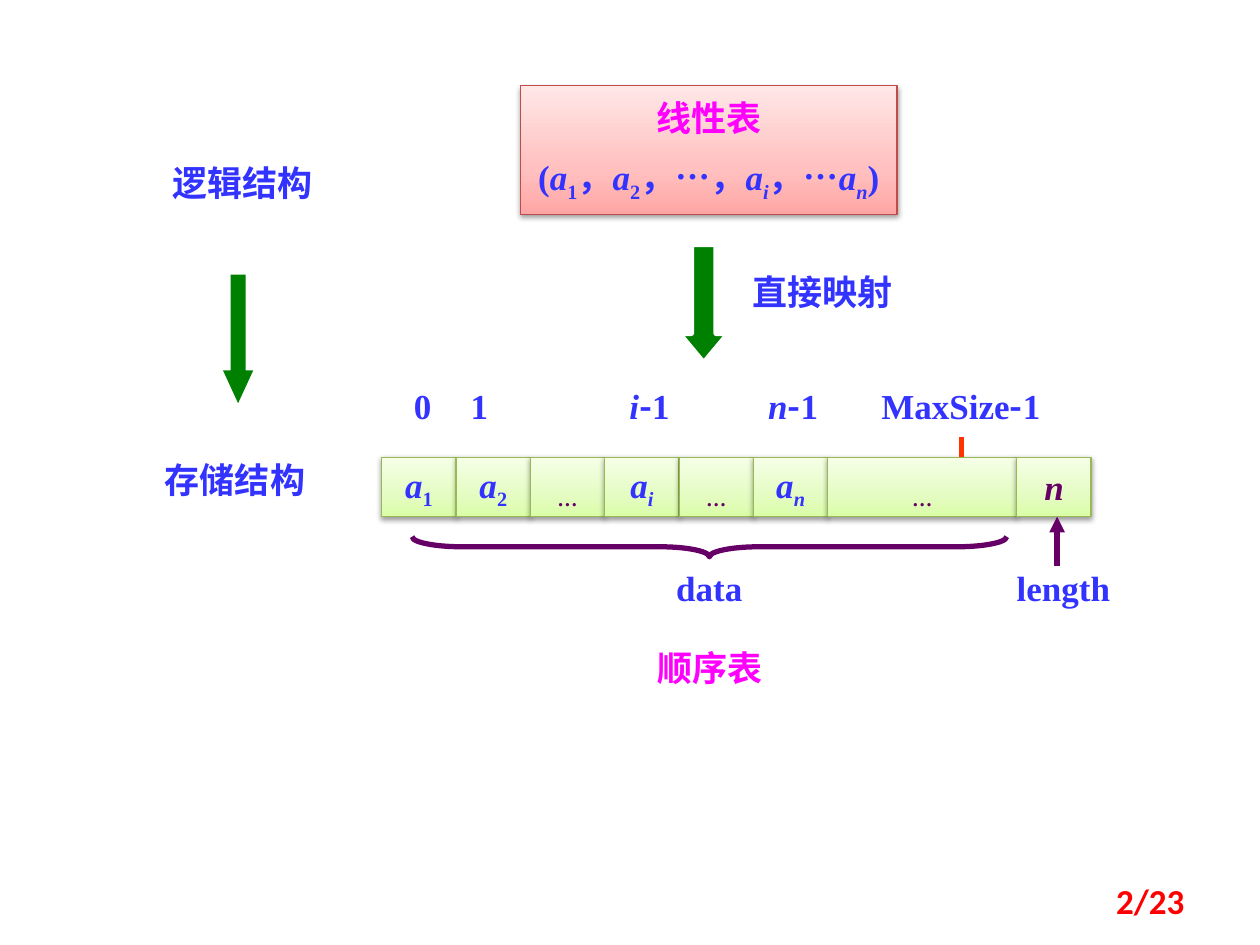
import copy
from dataclasses import dataclass

import pptx
import pptx.util
from lxml import etree
from pptx.dml.color import RGBColor
from pptx.enum.shapes import MSO_CONNECTOR, MSO_SHAPE
from pptx.enum.text import MSO_ANCHOR, MSO_AUTO_SIZE, PP_ALIGN
from pptx.oxml.ns import qn
from pptx.util import Inches, Pt


@dataclass(frozen=True)
class Theme:
    serif: str = "Times New Roman"
    sans: str = "Noto Sans CJK SC"
    footer: str = "Calibri"
    size: int = 20
    blue: str = "3333FF"
    magenta: str = "FF00FF"
    purple: str = "660066"
    green: str = "008000"
    orange: str = "FF3300"
    red: str = "FF0000"
    white: str = "FFFFFF"
    list_fill: tuple = ("FFA6A5", "FFC0BF", "FFE7E7")
    list_line: str = "BF4C48"
    cell_fill: tuple = ("DAFDA7", "E4FCC2", "F5FFE7")
    cell_line: str = "98B955"


theme = Theme()

ITALIC, SUB, SANS = "italic", "sub", "sans"


def element(index, *style):
    return [("a", ITALIC), (index, SUB, *style)]


def last_index(name):
    return [(name, ITALIC), ("-", SANS), ("1",)]


linear_list = [
    ([("线性表",)], theme.magenta),
    ([("(",), *element("1"), ("，",), *element("2"), ("，…，",),
      *element("i", ITALIC), ("，…",), *element("n", ITALIC), (")",)], theme.blue),
]

gap = [("…", SUB)]
cells = [
    (element("1"), theme.blue, 0.59),
    (element("2"), theme.blue, 0.59),
    (gap, theme.purple, 0.59),
    (element("i", ITALIC), theme.blue, 0.59),
    (gap, theme.purple, 0.59),
    (element("n", ITALIC), theme.blue, 0.59),
    (gap, theme.purple, 1.5),
    ([("n", ITALIC)], theme.purple, 0.59),
]
cells_left, cells_top, cell_height = 3.03, 3.63, 0.47

index_top, caption_top = 3, 4.45
labels = [
    ([("直接映射",)], theme.sans, theme.blue, 5.78, 2.1, 1.5),
    ([("MaxSize",), ("-", SANS), ("1",)], theme.serif, theme.blue, 6.8, index_top, 1.65),
    ([("0",)], theme.serif, theme.blue, 3.08, index_top, 0.55),
    ([("1",)], theme.serif, theme.blue, 3.53, index_top, 0.55),
    (last_index("i"), theme.serif, theme.blue, 4.84, index_top, 0.63),
    (last_index("n"), theme.serif, theme.blue, 5.94, index_top, 0.71),
    ([("data",)], theme.serif, theme.blue, 5.08, caption_top, 1.1),
    ([("length",)], theme.serif, theme.blue, 7.81, caption_top, 1.26),
    ([("顺序表",)], theme.sans, theme.magenta, 4.69, 5.08, 1.89),
    ([("逻辑结构",)], theme.serif, theme.blue, 0.98, 1.23, 1.89),
    ([("存储结构",)], theme.serif, theme.blue, 0.92, 3.59, 1.89),
]
label_height = 0.43

down_arrows = [
    ((5.39, 1.94, 0.39, 0.94), 0.599, theme.white),
    ((1.77, 2.18, 0.24, 1.02), 1.083, None),
]

deck = pptx.Presentation()
deck.slide_width, deck.slide_height = Inches(10), Inches(7.5)
slide = deck.slides.add_slide(deck.slide_layouts[6])


def rgb(value):
    return RGBColor.from_string(value)


def write(paragraph, runs, color, face=theme.serif, align=PP_ALIGN.CENTER):
    paragraph.alignment = align
    font = paragraph.font
    font.name, font.size, font.bold = face, Pt(theme.size), True
    font.color.rgb = rgb(color)
    for text, *style in runs:
        run = paragraph.add_run()
        run.text = text
        if ITALIC in style:
            run.font.italic = True
        if SANS in style:
            run.font.name = theme.sans
        if SUB in style:
            run._r.get_or_add_rPr().set("baseline", "-25000")


def add_text(runs, face, color, left, top, width, height, align=PP_ALIGN.CENTER):
    box = slide.shapes.add_textbox(*map(Inches, (left, top, width, height)))
    box.text_frame.word_wrap = True
    write(box.text_frame.paragraphs[0], runs, color, face, align)
    return box.text_frame


def add_shape(kind, place, line=None, weight=3):
    shape = slide.shapes.add_shape(kind, *map(Inches, place))
    shape.shadow.inherit = False
    if line:
        shape.line.color.rgb = rgb(line)
        shape.line.width = Pt(weight)
    else:
        shape.line.fill.background()
    return shape


def add_panel(place, colors, line, paragraphs):
    panel = add_shape(MSO_SHAPE.RECTANGLE, place, line, 0.75)
    panel.fill.gradient()
    panel.fill.gradient_angle = 90
    properties = panel._element.spPr
    stops = properties.find(".//" + qn("a:gsLst"))
    stops.append(copy.deepcopy(stops[-1]))
    for stop, position, color in zip(panel.fill.gradient_stops, (0, 0.35, 1), colors):
        stop.position = position
        stop.color.rgb = rgb(color)
    shadow = etree.SubElement(
        properties.find(qn("a:effectLst")), qn("a:outerShdw"),
        blurRad=str(Pt(3.1)), dist=str(Pt(1.6)), dir="5400000", rotWithShape="0")
    shade = etree.SubElement(shadow, qn("a:srgbClr"), val="000000")
    etree.SubElement(shade, qn("a:alpha"), val="38000")
    frame = panel.text_frame
    frame.word_wrap = False
    frame.vertical_anchor = MSO_ANCHOR.MIDDLE
    for number, (runs, color) in enumerate(paragraphs):
        paragraph = frame.add_paragraph() if number else frame.paragraphs[0]
        if number:
            paragraph.space_before = Pt(theme.size / 2)
        write(paragraph, runs, color)


def add_line(start, end, color, arrow=False):
    line = slide.shapes.add_connector(MSO_CONNECTOR.STRAIGHT, *map(Inches, (*start, *end)))
    line.line.color.rgb = rgb(color)
    line.line.width = Pt(3)
    if arrow:
        etree.SubElement(line.line._get_or_add_ln(), qn("a:tailEnd"), type="triangle")
    etree.SubElement(line._element.spPr, qn("a:effectLst"))


add_panel((4.13, 0.68, 2.99, 1.02), theme.list_fill, theme.list_line, linear_list)

left = cells_left
for runs, color, width in cells:
    add_panel((left, cells_top, width, cell_height), theme.cell_fill, theme.cell_line,
              [(runs, color)])
    left += width

for place, head, outline in down_arrows:
    down_arrow = add_shape(MSO_SHAPE.DOWN_ARROW, place, outline)
    down_arrow.fill.solid()
    down_arrow.fill.fore_color.rgb = rgb(theme.green)
    down_arrow.adjustments[0], down_arrow.adjustments[1] = 0.5, head

data_brace = add_shape(MSO_SHAPE.RIGHT_BRACE, (5.55, 1.98, 0.16, 4.72), theme.purple)
data_brace.fill.background()
data_brace.rotation = 90
data_brace.adjustments[0], data_brace.adjustments[1] = 2.491, 0.5

add_line((7.63, 3.47), (7.63, cells_top), theme.orange)
add_line((8.39, 4.49), (8.39, cells_top + cell_height), theme.purple, arrow=True)

for label in labels:
    add_text(*label, label_height).auto_size = MSO_AUTO_SIZE.SHAPE_TO_FIT_TEXT

page_number = add_text([("2/23",)], theme.footer, theme.red, 7.17, 6.95, 2.33, 0.4,
                       PP_ALIGN.RIGHT)
page_number.vertical_anchor = MSO_ANCHOR.MIDDLE

deck.save("out.pptx")
